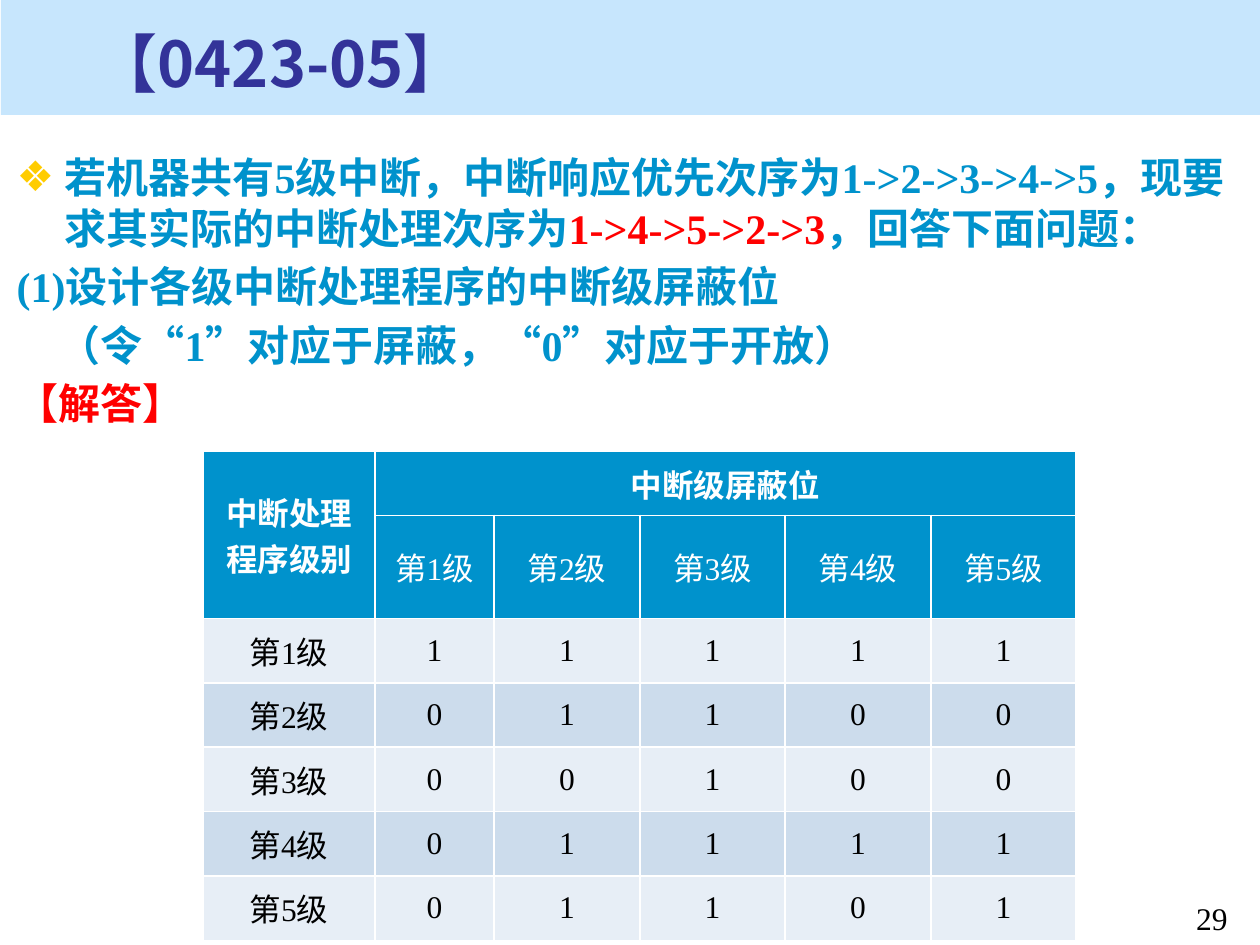
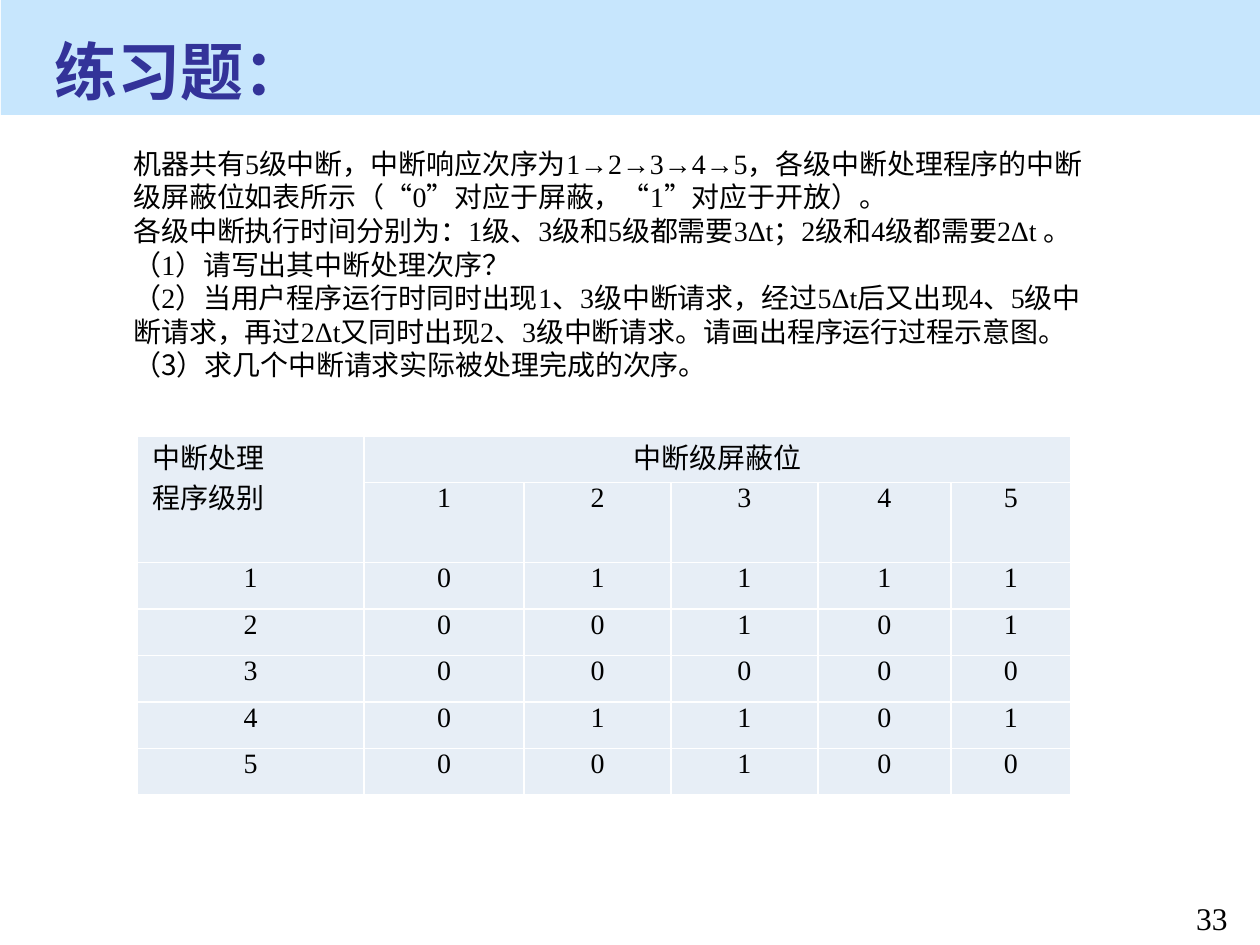
from lxml.etree import SubElement as Sub
from pptx import Presentation
from pptx.dml.color import RGBColor as Rgb
from pptx.enum.shapes import MSO_SHAPE as Kind
from pptx.enum.text import MSO_ANCHOR as Anchor, MSO_AUTO_SIZE as Fit, PP_ALIGN as Align
from pptx.oxml.ns import qn
from pptx.util import Pt

SERIF = "Times New Roman"
SANS = "Noto Sans CJK SC"
BAND, NAVY, BLUE, GOLD = "C7E6FD", "333399", "0092CC", "FFCC00"
RED, BLACK, WHITE = "FF0000", "000000", "FFFFFF"
PALE, DEEP = "E7EEF6", "CCDCEC"


def px(n):
    return round(n * 914400 / 126)


def hue(code):
    return Rgb.from_string(code)


def put(shape, box):
    shape.left, shape.top, shape.width, shape.height = map(px, box)


def say(para, text, size, color=BLACK, bold=False, face=SERIF):
    run = para.add_run()
    run.text = text
    font = run.font
    font.name, font.size, font.bold = face, Pt(size), bold
    font.color.rgb = hue(color)
    Sub(font._element, qn("a:ea"), typeface=SANS)


def lines(frame, count):
    for i in range(count):
        yield frame.paragraphs[0] if i == 0 else frame.add_paragraph()


def indent(para, left, first, mark=None):
    props = para._p.get_or_add_pPr()
    props.set("marL", str(px(left)))
    props.set("indent", str(px(first)))
    if mark:
        Sub(Sub(props, qn("a:buClr")), qn("a:srgbClr"), val=GOLD)
        Sub(props, qn("a:buChar"), char=mark)
    else:
        Sub(props, qn("a:buNone"))


def base(deck, layout, title, box, number):
    slide = deck.slides.add_slide(deck.slide_layouts[layout])
    band = slide.shapes.add_shape(Kind.RECTANGLE, px(1), 0, px(1259), px(115))
    band.shadow.inherit = False
    band.fill.solid()
    band.fill.fore_color.rgb = hue(BAND)
    band.line.fill.background()
    slide.shapes._spTree.insert(2, band._element)

    head = slide.shapes.title
    put(head, box)
    frame = head.text_frame
    frame.auto_size, frame.vertical_anchor = Fit.NONE, Anchor.MIDDLE
    para = frame.paragraphs[0]
    para.alignment = Align.LEFT
    say(para, title, 36, NAVY, True, SANS)

    foot = slide.shapes.add_textbox(*map(px, (1168, 893, 88, 42)))
    para = foot.text_frame.paragraphs[0]
    para.alignment = Align.CENTER
    say(para, number, 18)
    return slide


def prompt(slide, box, items):
    body = slide.placeholders[1]
    put(body, box)
    frame = body.text_frame
    frame.auto_size, frame.vertical_anchor = Fit.NONE, Anchor.TOP
    frame.margin_top = px(11)
    for i, (para, item) in enumerate(zip(lines(frame, len(items)), items)):
        left, first, mark, runs = item
        indent(para, left, first, mark)
        para.line_spacing = Pt(28.7)
        para.space_before = Pt(4.8 if i else 0)
        for text, color in runs:
            say(para, text, 24, color, True)


def notes(slide, box, items):
    area = slide.shapes.add_textbox(*map(px, box))
    frame = area.text_frame
    frame.word_wrap = True
    frame.auto_size, frame.vertical_anchor = Fit.SHAPE_TO_FIT_TEXT, Anchor.MIDDLE
    frame.margin_top = px(11)
    for para, (text, face) in zip(lines(frame, len(items)), items):
        para.line_spacing = Pt(19.2)
        say(para, text, 16, face=face)


def grid(slide, spot, widths, tall, second, rows, style):
    count = len(rows)
    left, top = spot
    frame = slide.shapes.add_table(
        count, len(widths), px(left), px(top), px(sum(widths)), px(tall))
    table = frame.table
    table.first_row, table.horz_banding = style["header"], False
    for col, wide in zip(table.columns, widths):
        col.width = px(wide)
    for row in table.rows:
        row.height = px(tall) // count
    table.rows[1].height = px(second)
    for r, row in enumerate(rows):
        for c, text in enumerate(row):
            style["cell"](table.cell(r, c), r, c, text)
    table.cell(0, 0).merge(table.cell(1, 0))
    table.cell(0, 1).merge(table.cell(0, len(widths) - 1))


def paint(cell, code):
    cell.fill.solid()
    cell.fill.fore_color.rgb = hue(code)


def bright(cell, r, c, text):
    paint(cell, BLUE if r < 2 else (PALE, DEEP)[r % 2])
    cell.vertical_anchor = Anchor.MIDDLE
    if text:
        para = cell.text_frame.paragraphs[0]
        para.alignment = Align.CENTER
        say(para, text, 18, WHITE if r < 2 else BLACK, r == 0)


def plain(cell, r, c, text):
    paint(cell, PALE)
    corner = r == c == 0
    cell.margin_left, cell.margin_right = px(16 if corner else 9), px(9)
    cell.margin_top = cell.margin_bottom = 0
    parts = text.split("\n") if text else []
    for para, part in zip(lines(cell.text_frame, len(parts)), parts):
        para.alignment = Align.JUSTIFY if corner else Align.CENTER
        say(para, part, 16)


def matrix(corner, label, bits):
    names = [label.format(n) for n in range(1, 6)]
    top = [corner, "中断级屏蔽位"] + [""] * 4
    return [top, [""] + names] + [[n, *b] for n, b in zip(names, bits)]


def answer(deck):
    slide = base(deck, 1, "【0423-05】", (82, 20, 1154, 84), "29")
    prompt(slide, (4, 141, 1251, 291), [
        (48, -48, "❖", [
            ("若机器共有5级中断，中断响应优先次序为1->2->3->4->5，现要求其实际的中断处理次序为", BLUE),
            ("1->4->5->2->3", RED),
            ("，回答下面问题：", BLUE)]),
        (0, 0, None, [("(1)设计各级中断处理程序的中断级屏蔽位", BLUE)]),
        (42, 0, None, [("（令“1”对应于屏蔽，“0”对应于开放）", BLUE)]),
        (0, 0, None, [("【解答】", RED)])])
    bits = ["11111", "01100", "00100", "01111", "01101"]
    grid(slide, (203, 451), [172, 119, 146, 145, 146, 145], 451, 103,
         matrix("中断处理程序级别", "第{}级", bits),
         {"header": True, "cell": bright})


def drill(deck):
    slide = base(deck, 5, "练习题：", (42, 28, 1154, 84), "33")
    bits = ["01111", "00101", "00000", "01101", "00100"]
    grid(slide, (137, 436), [227, 160, 147, 147, 133, 120], 326, 80,
         matrix("中断处理\n程序级别", "{}", bits),
         {"header": False, "cell": plain})
    notes(slide, (121, 136, 995, 251), [
        ("机器共有5级中断，中断响应次序为1→2→3→4→5，各级中断处理程序的中断级屏蔽位如表所示（“0”对应于屏蔽，“1”对应于开放）。", SERIF),
        ("各级中断执行时间分别为：1级、3级和5级都需要3Δt；2级和4级都需要2Δt 。", SERIF),
        ("（1）请写出其中断处理次序？", SERIF),
        ("（2）当用户程序运行时同时出现1、3级中断请求，经过5Δt后又出现4、5级中断请求，再过2Δt又同时出现2、3级中断请求。请画出程序运行过程示意图。", SERIF),
        ("（3）求几个中断请求实际被处理完成的次序。", SANS)])


def main():
    deck = Presentation()
    deck.slide_width, deck.slide_height = px(1260), px(945)
    answer(deck)
    drill(deck)
    deck.save("out.pptx")


if __name__ == "__main__":
    main()
